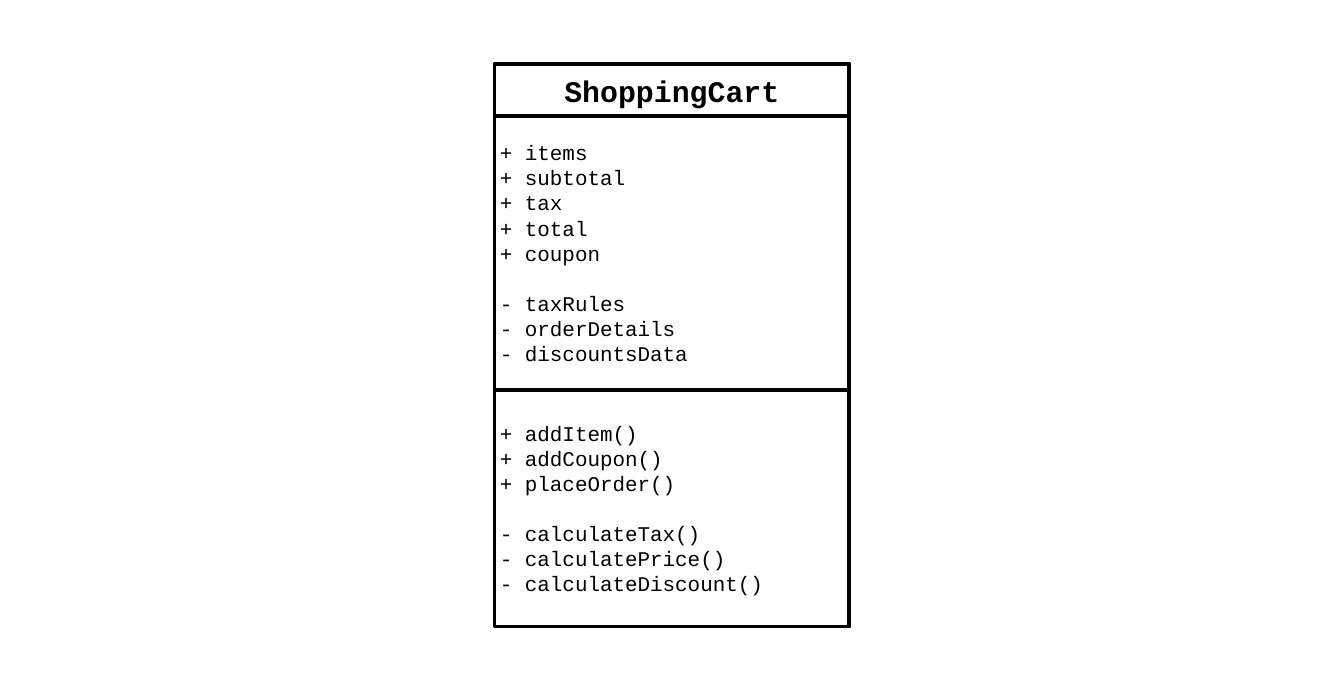
from dataclasses import dataclass

from pptx import Presentation
from pptx.dml.color import RGBColor
from pptx.enum.shapes import MSO_SHAPE as Shape
from pptx.enum.text import MSO_ANCHOR as Anchor, PP_ALIGN as Align
from pptx.util import Emu, Pt

PX = 9144  # 100 px to the inch
COLORS = {"paper": "FFFFFF", "ink": "000000"}
FONT = "Courier New"
LEFT, TOP, WIDTH, HEIGHT = 920, 118, 659, 1047
NAME_FORMAT = {"size": Pt(40), "bold": True}
MEMBER_FORMAT = {"size": Pt(28), "bold": False}
MEMBER_PITCH = Pt(33.6)


@dataclass
class Compartment:
    top: int
    height: int
    groups: list[list[str]]
    text_format: dict
    align: Align = Align.LEFT
    pitch: Pt | None = None


COMPARTMENTS = [
    Compartment(119, 98, [["ShoppingCart"]], NAME_FORMAT, Align.CENTER),
    Compartment(216, 508, [
        ["+ items", "+ subtotal", "+ tax", "+ total", "+ coupon"],
        ["- taxRules", "- orderDetails", "- discountsData"],
    ], MEMBER_FORMAT, pitch=MEMBER_PITCH),
    Compartment(725, 440, [
        ["+ addItem()", "+ addCoupon()", "+ placeOrder()"],
        ["- calculateTax()", "- calculatePrice()", "- calculateDiscount()"],
    ], MEMBER_FORMAT, pitch=MEMBER_PITCH),
]


def px(length: int) -> Emu:
    return Emu(length * PX)


def color(name: str) -> RGBColor:
    return RGBColor.from_string(COLORS[name])


def add_box(page, top: int, height: int):
    """Draw an outlined rectangle as wide as the class."""
    box = page.shapes.add_shape(
        Shape.RECTANGLE, px(LEFT), px(top), px(WIDTH), px(height))
    box.shadow.inherit = False
    box.fill.solid()
    box.fill.fore_color.rgb = color("paper")
    box.line.color.rgb = color("ink")
    box.line.width = Pt(4.5)
    return box


def add_compartment(page, part: Compartment) -> None:
    """Draw one compartment, with a line's gap between its groups."""
    frame = add_box(page, part.top, part.height).text_frame
    frame.word_wrap = True
    frame.vertical_anchor = Anchor.MIDDLE
    para = frame.paragraphs[0]
    for group_index, group in enumerate(part.groups):
        for line_index, text in enumerate(group):
            if group_index or line_index:
                para = frame.add_paragraph()
            para.alignment = part.align
            if part.pitch:
                para.line_spacing = part.pitch
            if group_index and not line_index:
                para.space_before = part.pitch
            span = para.add_run()
            span.text = text
            span.font.name = FONT
            span.font.color.rgb = color("ink")
            for name, value in part.text_format.items():
                setattr(span.font, name, value)


def main() -> None:
    deck = Presentation()
    deck.slide_width, deck.slide_height = px(2500), px(1283)
    page = deck.slides.add_slide(deck.slide_layouts[6])

    # Outer frame of the class
    add_box(page, TOP, HEIGHT)

    # Name, attributes and methods
    for part in COMPARTMENTS:
        add_compartment(page, part)

    deck.save("out.pptx")


if __name__ == "__main__":
    main()
